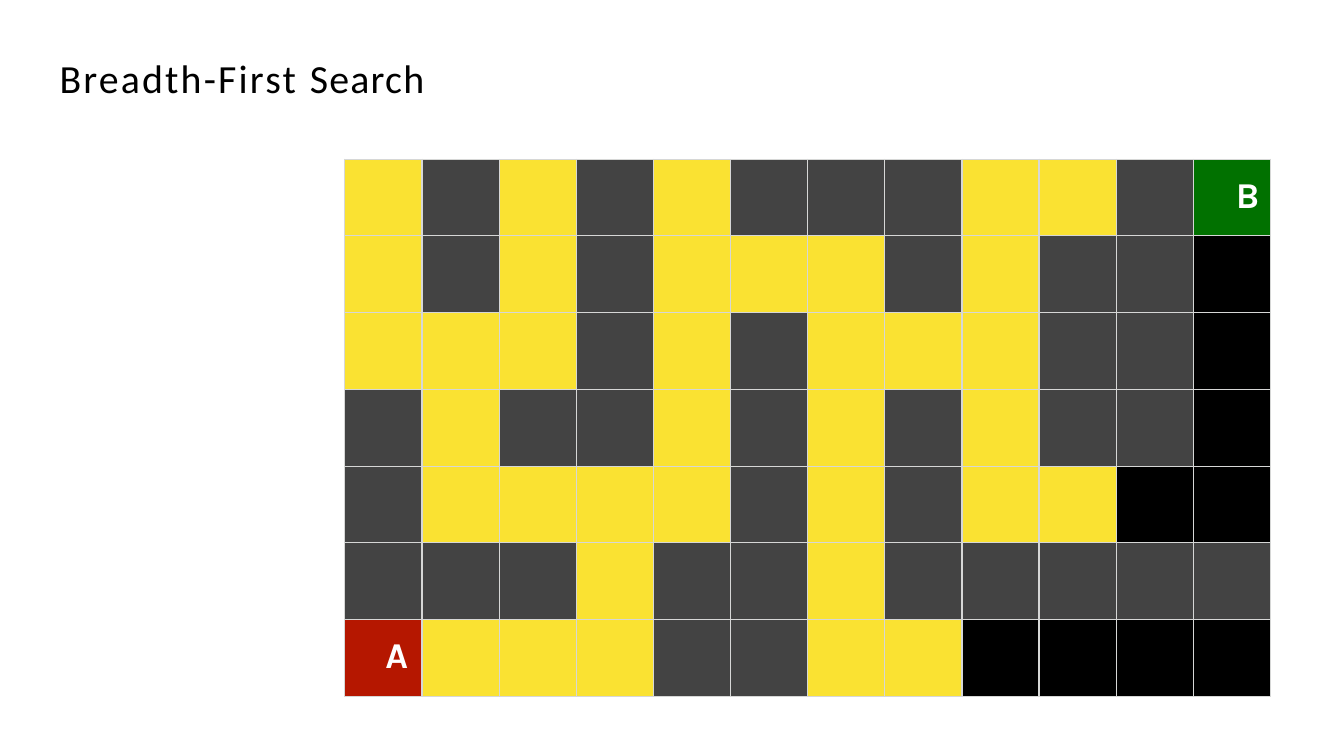
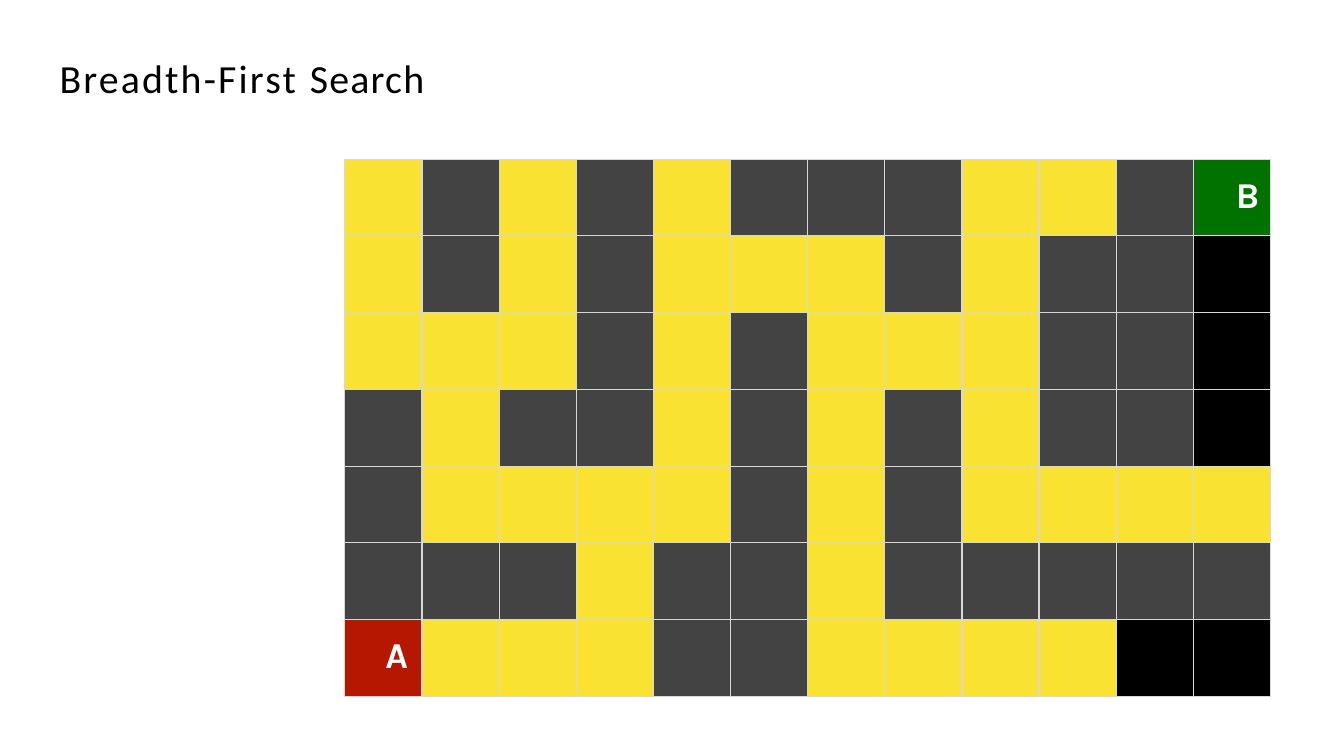
from typing import NamedTuple

from lxml import etree
from pptx import Presentation
from pptx.dml.color import RGBColor
from pptx.enum.text import MSO_ANCHOR, MSO_AUTO_SIZE, PP_ALIGN
from pptx.oxml.ns import qn
from pptx.slide import Slide
from pptx.table import _Cell
from pptx.util import Cm, Pt

LEFT = PP_ALIGN.LEFT
TOP, MIDDLE = MSO_ANCHOR.TOP, MSO_ANCHOR.MIDDLE
GROW = MSO_AUTO_SIZE.SHAPE_TO_FIT_TEXT

WHITE = RGBColor(0xFF, 0xFF, 0xFF)
BLACK = RGBColor(0x00, 0x00, 0x00)
GREY = RGBColor(0x43, 0x43, 0x43)
YELLOW = RGBColor(0xFA, 0xE2, 0x32)
RED = RGBColor(0xB5, 0x17, 0x00)
GREEN = RGBColor(0x01, 0x71, 0x00)
GRID_LINE = RGBColor(0xD6, 0xD7, 0xD6)

TITLE_ONLY = 5
TITLE_FONT = {"name": "Calibri", "size": Pt(28.5), "bold": False}
MARKER_FONT = {"name": "Karla", "size": Pt(26), "bold": True}
TITLE_PLACE = {"left": Cm(1.47), "top": Cm(1.32), "width": Cm(10.29), "height": Cm(1.24)}
TITLE_FRAME = {
    "margin_left": Cm(0.03), "margin_top": Cm(0.03), "margin_right": 0, "margin_bottom": 0,
    "vertical_anchor": MIDDLE, "auto_size": GROW, "word_wrap": True,
}

MAZE_LEFT, MAZE_TOP = Cm(8.69), Cm(4.01)
MAZE_WIDTH, MAZE_HEIGHT = Cm(23.33), Cm(13.54)

WALL, OPEN, EXPLORED, START, GOAL = "#.oAB"
MAZE = (
    "o#o#o###oo#B",
    "o#o#ooo#o##.",
    "ooo#o#ooo##.",
    "#o##o#o#o##.",
    "#oooo#o#oo..",
    "###o##o#####",
    "Aooo##oo....",
)
FILLS = {WALL: GREY, OPEN: BLACK, EXPLORED: YELLOW, START: RED, GOAL: GREEN}

Position = tuple[int, int]


class Span(NamedTuple):
    text: str
    spacing: float


class Marker(NamedTuple):
    indent: Cm
    top: Cm


class Step(NamedTuple):
    """A stage of the search: the (row, column) cells explored since MAZE."""
    explored: frozenset[Position]


TITLE = (Span("Breadth-First ", 1.6), Span("Search", 0.9))
MARKERS = {START: Marker(Cm(1.02), Cm(0.38)), GOAL: Marker(Cm(1.07), Cm(0.41))}
STEPS = (
    Step(frozenset()),
    Step(frozenset({(4, 10), (4, 11), (6, 8), (6, 9)})),
)


def apply_format(target: object, values: dict) -> None:
    for name, value in values.items():
        setattr(target, name, value)


def add_title(page: Slide) -> None:
    box = page.shapes.title
    apply_format(box, TITLE_PLACE)
    apply_format(box.text_frame, TITLE_FRAME)
    para = box.text_frame.paragraphs[0]
    para.alignment = LEFT
    for span in TITLE:
        run = para.add_run()
        run.text = span.text
        apply_format(run.font, TITLE_FONT)
        run.font.color.rgb = BLACK
        run.font._element.set("spc", str(round(span.spacing * 100)))


def add_borders(cell: _Cell) -> None:
    """Draw all four borders; must come before the fill in the cell's XML."""
    properties = cell._tc.get_or_add_tcPr()
    for side in ("lnL", "lnR", "lnT", "lnB"):
        line = etree.SubElement(properties, qn(f"a:{side}"), w=str(Pt(1)))
        solid = etree.SubElement(line, qn("a:solidFill"))
        etree.SubElement(solid, qn("a:srgbClr"), val=str(GRID_LINE))


def add_marker(cell: _Cell, letter: str) -> None:
    marker = MARKERS[letter]
    apply_format(cell, {
        "margin_left": marker.indent, "margin_top": marker.top,
        "margin_right": 0, "margin_bottom": 0, "vertical_anchor": TOP,
    })
    para = cell.text_frame.paragraphs[0]
    para.alignment = LEFT
    run = para.add_run()
    run.text = letter
    apply_format(run.font, MARKER_FONT)
    run.font.color.rgb = WHITE


def add_maze(page: Slide, step: Step) -> None:
    table = page.shapes.add_table(
        len(MAZE), len(MAZE[0]), MAZE_LEFT, MAZE_TOP, MAZE_WIDTH, MAZE_HEIGHT
    ).table
    apply_format(table, {"first_row": False, "horz_banding": False})
    for row, kinds in enumerate(MAZE):
        for column, kind in enumerate(kinds):
            cell = table.cell(row, column)
            add_borders(cell)
            cell.fill.solid()
            shown = EXPLORED if (row, column) in step.explored else kind
            cell.fill.fore_color.rgb = FILLS[shown]
            if kind in MARKERS:
                add_marker(cell, kind)


def main() -> None:
    deck = Presentation()
    apply_format(deck, {"slide_width": Cm(33.87), "slide_height": Cm(19.05)})
    for step in STEPS:
        page = deck.slides.add_slide(deck.slide_layouts[TITLE_ONLY])
        add_title(page)
        add_maze(page, step)
    deck.save("out.pptx")


if __name__ == "__main__":
    main()
